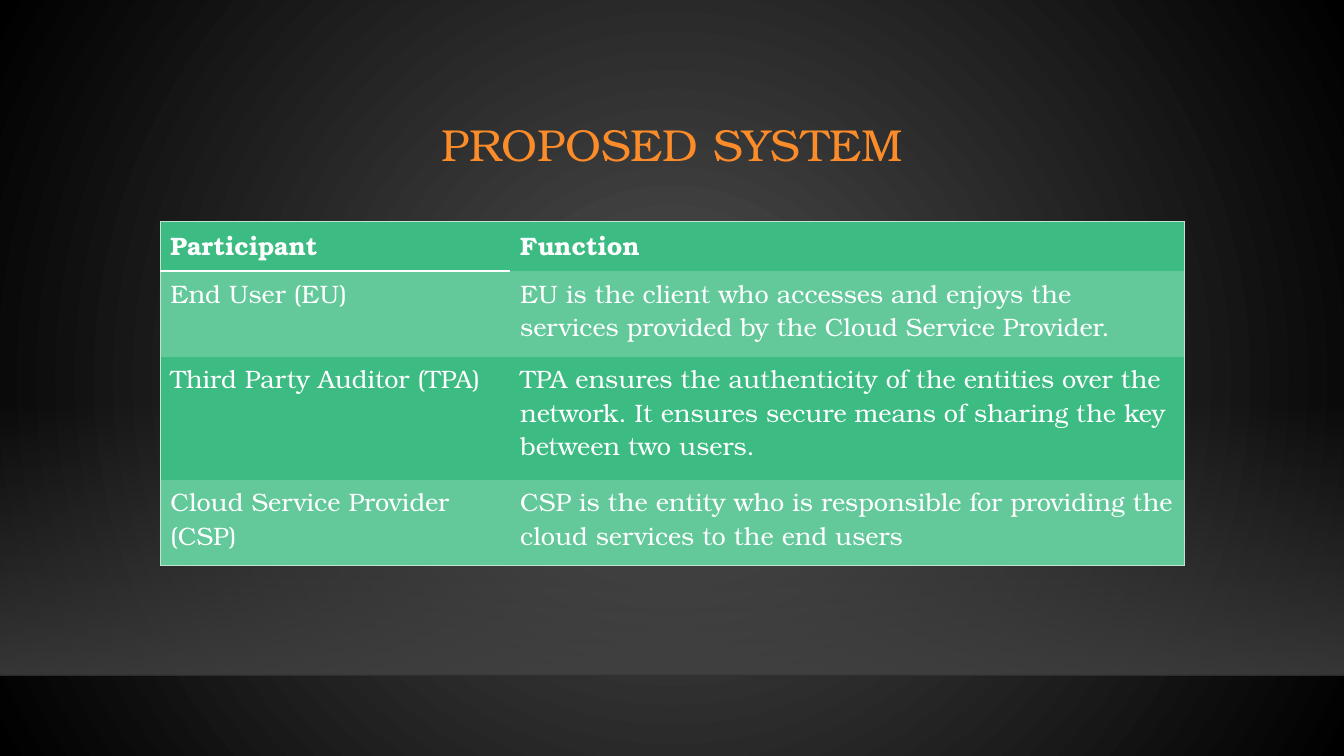
from lxml.etree import SubElement
from pptx import Presentation
from pptx.dml.color import RGBColor
from pptx.enum.shapes import MSO_CONNECTOR, MSO_SHAPE
from pptx.enum.text import MSO_ANCHOR, PP_ALIGN
from pptx.oxml import parse_xml
from pptx.oxml.ns import nsdecls, qn
from pptx.util import Inches, Pt

FONT = "TeX Gyre Bonum"
COLORS = {
    "center": "505050",
    "edge": "000000",
    "floor": "454545",
    "horizon": "000001",
    "title": "FB8C29",
    "text": "FFFFFF",
    "row": "3CBB82",
    "band": "63C99B",
    "frame": "C3E3D2",
}
RADIAL = ('<a:path path="circle">'
          '<a:fillToRect l="50000" t="50000" r="50000" b="50000"/></a:path>')
DOWNWARD = '<a:lin ang="5400000" scaled="0"/>'
NO_STYLE = "{2D5ABB26-0587-4C30-8999-92F81FD0307C}"
COLUMN_WIDTHS = (3.47, 6.69)
ROW_HEIGHTS = (0.49, 0.85, 1.22, 0.85)
PARTICIPANTS = (
    ("Participant", "Function"),
    ("End User (EU)",
     "EU is the client who accesses and enjoys the services provided by "
     "the Cloud Service Provider."),
    ("Third Party Auditor (TPA)",
     "TPA ensures the authenticity of the entities over the network. "
     "It ensures secure means of sharing the key between two users."),
    ("Cloud Service Provider (CSP)",
     "CSP is the entity who is responsible for providing the cloud "
     "services to the end users"),
)


def color(name):
    return RGBColor.from_string(COLORS[name])


def set_gradient(fill, parent, stops, direction):
    """Fill with (position, color name, opacity) stops, all in percent."""
    fill.solid()
    stop_xml = "".join(
        f'<a:gs pos="{position * 1000}"><a:srgbClr val="{COLORS[name]}">'
        f'<a:alpha val="{opacity * 1000}"/></a:srgbClr></a:gs>'
        for position, name, opacity in stops)
    gradient = parse_xml(f'<a:gradFill {nsdecls("a")} rotWithShape="1">'
                         f'<a:gsLst>{stop_xml}</a:gsLst>{direction}</a:gradFill>')
    parent.replace(parent.find(qn("a:solidFill")), gradient)


def add_text(paragraph, text, size, color_name, bold=False):
    run = paragraph.add_run()
    run.text = text
    run.font.name = FONT
    run.font.size = Pt(size)
    run.font.bold = bold
    run.font.color.rgb = color(color_name)


def set_border(cell, side, color_name, width):
    properties = cell._tc.get_or_add_tcPr()
    line = SubElement(properties, qn(f"a:ln{side}"), w=str(Pt(width)))
    solid = SubElement(line, qn("a:solidFill"))
    SubElement(solid, qn("a:srgbClr"), val=COLORS[color_name])


def add_backdrop(slide, left, top, width, height):
    background = slide.background
    fill = background.fill
    fill.solid()
    set_gradient(fill, slide._element.cSld.bg.bgPr,
                 ((0, "center", 100), (100, "edge", 100)), RADIAL)

    # Floor glow
    floor = slide.shapes.add_shape(MSO_SHAPE.RECTANGLE, left, top, width, height)
    floor.shadow.inherit = False
    floor.line.fill.background()
    set_gradient(floor.fill, floor._element.spPr,
                 ((0, "floor", 0), (100, "floor", 80)), DOWNWARD)

    # Horizon line
    bottom = top + height
    horizon = slide.shapes.add_connector(
        MSO_CONNECTOR.STRAIGHT, left, bottom, left + width, bottom)
    horizon.line.width = Pt(1)
    horizon.line.color.rgb = color("horizon")
    properties = horizon._element.spPr
    line_color = properties.find(".//" + qn("a:srgbClr"))
    SubElement(line_color, qn("a:alpha"), val="20000")
    SubElement(properties, qn("a:effectLst"))


def add_title(slide, left, top, width, height):
    frame = slide.shapes.add_textbox(left, top, width, height).text_frame
    frame.word_wrap = True
    frame.vertical_anchor = MSO_ANCHOR.MIDDLE
    paragraph = frame.paragraphs[0]
    paragraph.alignment = PP_ALIGN.CENTER
    paragraph.line_spacing = 0.9
    add_text(paragraph, "PROPOSED SYSTEM", 32, "title")


def add_participant_table(slide, left, top, width, height):
    last_row, last_column = len(ROW_HEIGHTS) - 1, len(COLUMN_WIDTHS) - 1
    table = slide.shapes.add_table(
        last_row + 1, last_column + 1, left, top, width, height).table
    table._tbl.tblPr.find(qn("a:tableStyleId")).text = NO_STYLE
    for column, column_width in zip(table.columns, COLUMN_WIDTHS):
        column.width = Inches(column_width)
    for row, row_height in zip(table.rows, ROW_HEIGHTS):
        row.height = Inches(row_height)

    for i, texts in enumerate(PARTICIPANTS):
        for j, text in enumerate(texts):
            cell = table.cell(i, j)
            add_text(cell.text_frame.paragraphs[0], text, 18, "text", bold=i == 0)

            # Outer frame, and a rule under the first heading
            if j == 0:
                set_border(cell, "L", "frame", 0.75)
            if j == last_column:
                set_border(cell, "R", "frame", 0.75)
            if i == 0:
                set_border(cell, "T", "frame", 0.75)
            if i == last_row:
                set_border(cell, "B", "frame", 0.75)
            elif i == 0 and j == 0:
                set_border(cell, "B", "text", 1.75)

            cell.fill.solid()
            cell.fill.fore_color.rgb = color("band" if i % 2 else "row")


def main():
    presentation = Presentation()
    presentation.slide_width = Inches(13.33)
    presentation.slide_height = Inches(7.5)
    slide = presentation.slides.add_slide(presentation.slide_layouts[6])

    content_left, content_width = Inches(1.59), Inches(10.16)
    add_backdrop(slide, 0, Inches(3.96), presentation.slide_width, Inches(2.74))
    add_title(slide, content_left, Inches(0.88), content_width, Inches(1.15))
    add_participant_table(slide, content_left, Inches(2.2), content_width,
                          Inches(sum(ROW_HEIGHTS)))
    presentation.save("out.pptx")


if __name__ == "__main__":
    main()
